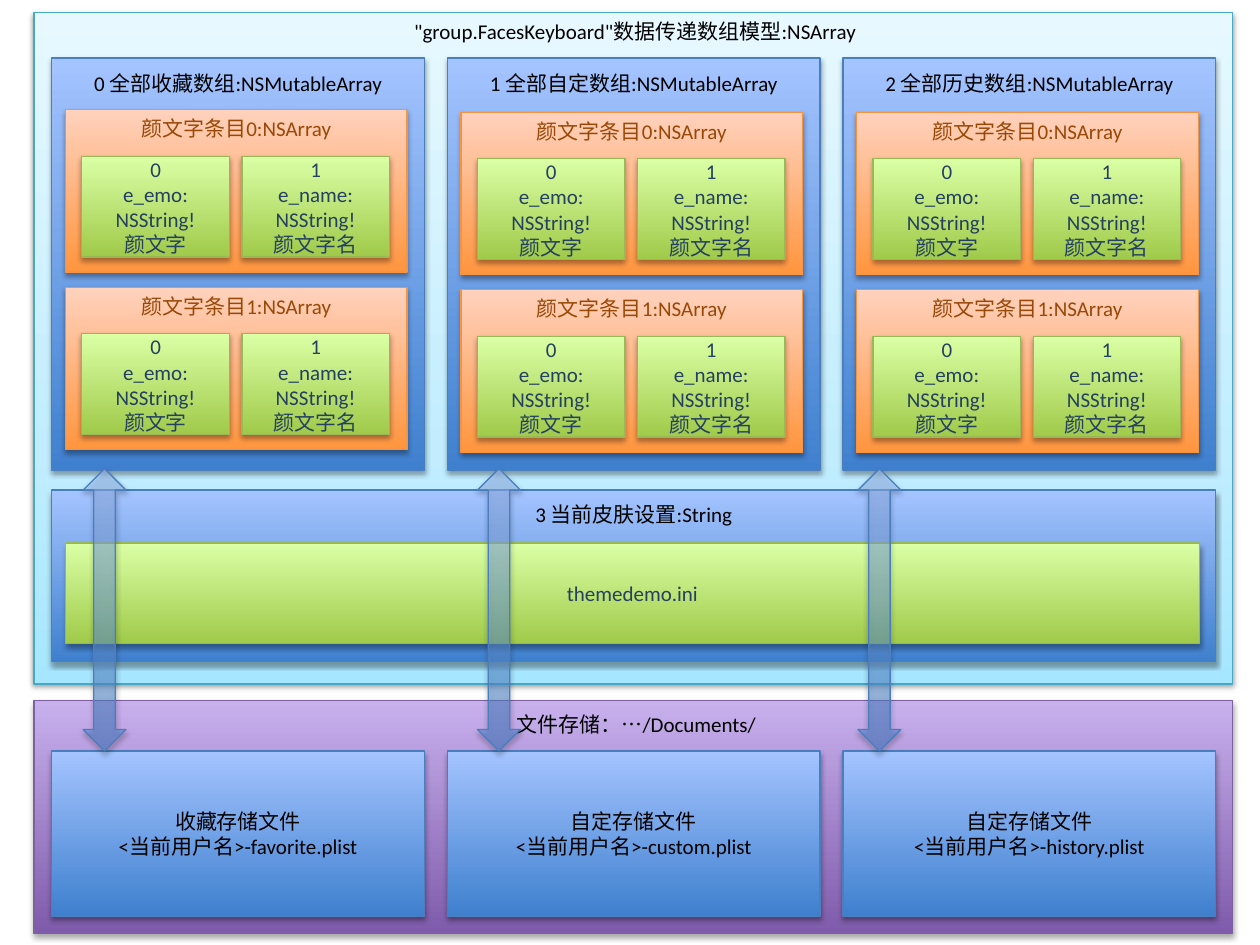
from collections import namedtuple

from pptx import Presentation
from pptx.dml.color import RGBColor
from pptx.enum.shapes import MSO_SHAPE as Shape
from pptx.enum.text import MSO_ANCHOR as Anchor, MSO_AUTO_SIZE as Fit, PP_ALIGN as Align
from pptx.oxml import parse_xml
from pptx.oxml.ns import nsdecls, qn
from pptx.util import Inches, Pt

Style = namedtuple("Style", "stops line")

CYAN = Style([(0, RGBColor(0xA7, 0xE6, 0xFF)), (35, RGBColor(0xC1, 0xED, 0xFF)),
              (100, RGBColor(0xE7, 0xF8, 0xFF))], RGBColor(0x46, 0xAA, 0xC5))
BLUE = Style([(0, RGBColor(0x3F, 0x80, 0xCE)), (100, RGBColor(0xA4, 0xC4, 0xFF))],
             RGBColor(0x4B, 0x7E, 0xBC))
ORANGE = Style([(0, RGBColor(0xFF, 0x95, 0x3E)), (100, RGBColor(0xFF, 0xD2, 0xBD))],
               RGBColor(0xF6, 0x92, 0x40))
GREEN = Style([(0, RGBColor(0xA0, 0xCA, 0x4A)), (100, RGBColor(0xDA, 0xFF, 0xA5))],
              RGBColor(0x98, 0xB9, 0x55))
PURPLE = Style([(0, RGBColor(0x7F, 0x5B, 0xAB)), (100, RGBColor(0xC8, 0xB0, 0xED))],
               RGBColor(0x7D, 0x60, 0xA0))
BLACK = RGBColor(0, 0, 0)
BROWN = RGBColor(0x98, 0x48, 0x07)
NAVY = RGBColor(0x25, 0x40, 0x61)

LEFT, WIDE, STEP = 0.41, 2.96, 3.14
FULL = 9.24

# heading, storage file, top of the first card, left of the arrow
COLUMNS = [
    ("0 全部收藏数组:NSMutableArray", "收藏存储文件\n<当前用户名>-favorite.plist", 0.87, 0.66),
    ("1 全部自定数组:NSMutableArray", "自定存储文件\n<当前用户名>-custom.plist", 0.89, 3.79),
    ("2 全部历史数组:NSMutableArray", "自定存储文件\n<当前用户名>-history.plist", 0.89, 6.81),
]
FIELDS = ["0\ne_emo:\nNSString!\n颜文字", "1\ne_name:\nNSString!\n颜文字名"]


def set_text(frame, text, color):
    frame.text = text
    frame.word_wrap = True
    for para in frame.paragraphs:
        para.alignment = Align.CENTER
        for run in para.runs:
            run.font.name = "Calibri"
            run.font.size = Pt(12)
            run.font.color.rgb = color


def set_fill(shape, stops, alpha):
    """Fill with a gradient that runs from bottom to top."""
    shape.fill.gradient()
    shape.fill.gradient_angle = 90
    marks = shape._element.spPr.find(qn("a:gradFill")).find(qn("a:gsLst"))
    for mark in list(marks):
        marks.remove(mark)
    for pos, color in stops:
        marks.append(parse_xml(
            f'<a:gs {nsdecls("a")} pos="{pos * 1000}"><a:srgbClr val="{color}">'
            f'<a:alpha val="{alpha * 1000}"/></a:srgbClr></a:gs>'))


def set_shadow(shape, alpha, dist):
    shape.shadow.inherit = False
    shape._element.spPr.find(qn("a:effectLst")).append(parse_xml(
        f'<a:outerShdw {nsdecls("a")} blurRad="{Pt(3.1)}" dist="{Pt(dist)}" '
        f'dir="5400000" rotWithShape="0"><a:srgbClr val="{BLACK}">'
        f'<a:alpha val="{alpha * 1000}"/></a:srgbClr></a:outerShdw>'))


def add_box(shapes, at, style, text="", color=BLACK, kind=Shape.RECTANGLE,
            alpha=100, shade=(35, 1.8)):
    box = shapes.add_shape(kind, *map(Inches, at))
    set_fill(box, style.stops, alpha)
    box.line.color.rgb = style.line
    box.line.width = Pt(0.75)
    set_shadow(box, *shade)
    if text:
        set_text(box.text_frame, text, color)
        box.text_frame.vertical_anchor = Anchor.MIDDLE


def add_label(shapes, left, top, width, text, color=BLACK):
    label = shapes.add_textbox(*map(Inches, (left, top, width, 0.3)))
    set_text(label.text_frame, text, color)
    label.text_frame.auto_size = Fit.SHAPE_TO_FIT_TEXT


def add_card(shapes, left, top, num):
    """One emoticon entry with its two fields, as a group."""
    group = shapes.add_group_shape().shapes
    add_box(group, (left, top, 2.71, 1.29), ORANGE)
    add_label(group, left, top, 2.71, f"颜文字条目{num}:NSArray", BROWN)
    for i, text in enumerate(FIELDS):
        add_box(group, (left + 0.13 + 1.27 * i, top + 0.37, 1.17, 0.8), GREEN, text, NAVY)


def add_column(shapes, left, title, top):
    add_box(shapes, (left, 0.46, WIDE, 3.27), BLUE)
    add_label(shapes, left, 0.51, WIDE, title)
    for num in range(2):
        add_card(shapes, left + 0.11, top + 1.41 * num, num)


def main():
    deck = Presentation()
    deck.slide_width, deck.slide_height = Inches(10), Inches(7.5)
    shapes = deck.slides.add_slide(deck.slide_layouts[6]).shapes
    lefts = [LEFT + STEP * i for i in range(len(COLUMNS))]

    add_box(shapes, (0.27, 0.1, 9.51, 5.33), CYAN, shade=(38, 1.6))
    add_label(shapes, 0.43, 0.1, 9.22, '"group.FacesKeyboard"数据传递数组模型:NSArray')
    for left, (title, _, top, _) in zip(lefts, COLUMNS):
        add_column(shapes, left, title, top)

    add_box(shapes, (LEFT, 3.89, FULL, 1.36), BLUE)
    add_label(shapes, LEFT, 3.93, FULL, "3 当前皮肤设置:String")
    add_box(shapes, (0.52, 4.31, 9, 0.8), GREEN, "themedemo.ini", NAVY)

    add_box(shapes, (0.27, 5.56, 9.51, 1.85), PURPLE)
    add_label(shapes, 0.43, 5.6, FULL, "文件存储：…/Documents/")
    for left, (_, name, _, _) in zip(lefts, COLUMNS):
        add_box(shapes, (left, 5.96, WIDE, 1.31), BLUE, name)
    for *_, left in COLUMNS:
        add_box(shapes, (left, 3.72, 0.34, 2.24), BLUE, kind=Shape.UP_DOWN_ARROW, alpha=50)

    deck.save("out.pptx")


if __name__ == "__main__":
    main()
